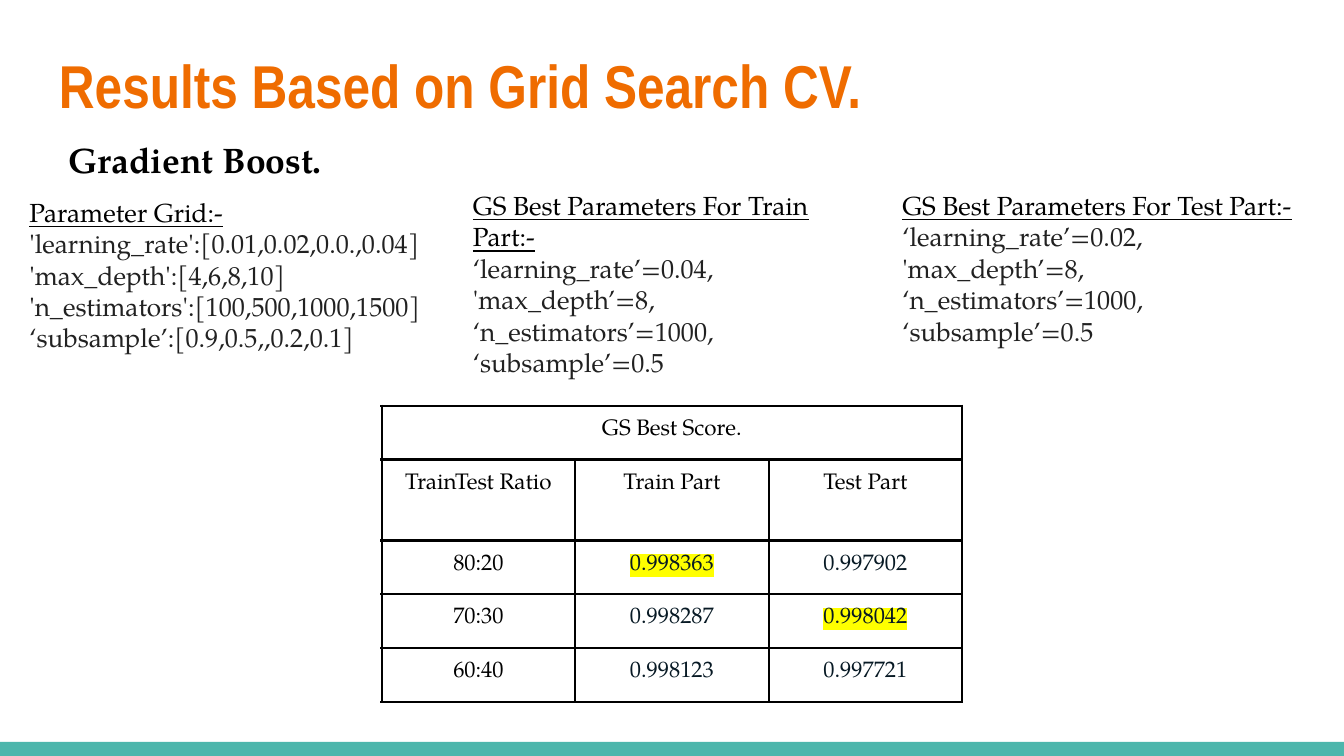
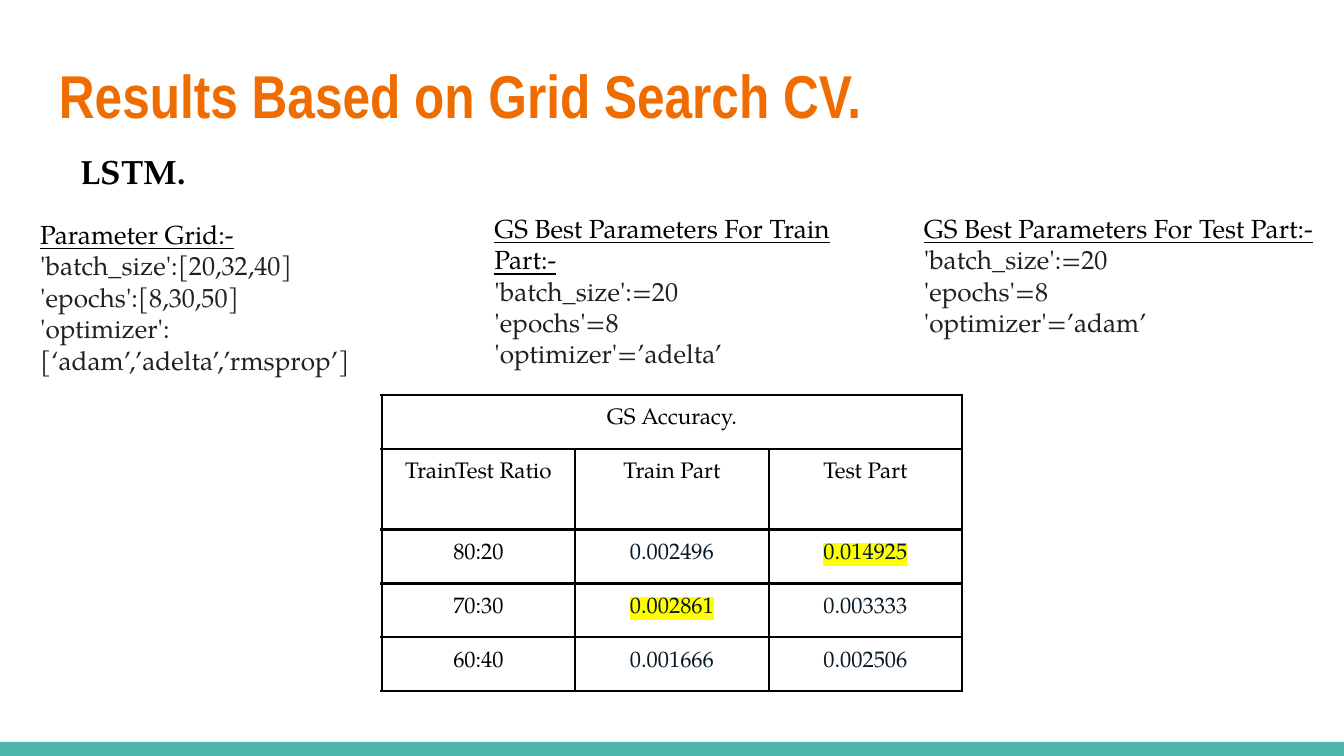
from lxml.etree import SubElement
from pptx import Presentation
from pptx.dml.color import RGBColor
from pptx.enum.shapes import MSO_SHAPE
from pptx.enum.text import MSO_ANCHOR, MSO_AUTO_SIZE, PP_ALIGN
from pptx.oxml.ns import qn
from pptx.util import Emu, Pt

# Scale: 200 px to the inch
EMU_PER_PX = 4572
SLIDE_W, SLIDE_H = 2000, 1125
INSET = 20

# Style
ORANGE = RGBColor(0xEF, 0x6C, 0x00)
TEAL = RGBColor(0x4D, 0xB6, 0xAC)
BLACK = RGBColor(0, 0, 0)
CHARCOAL = RGBColor(0x21, 0x21, 0x21)
NAVY = RGBColor(0x07, 0x19, 0x24)
WHITE = RGBColor(0xFF, 0xFF, 0xFF)
YELLOW = RGBColor(0xFF, 0xFF, 0x00)
TITLE_FONT = "Arial Narrow"
BODY_FONT = "TeX Gyre Pagella"

# Score table
TABLE_LEFT = 568
COLUMN_W = 288
ROW_HEIGHTS = [80, 120, 80, 80, 80]
COLUMN_HEADS = ["TrainTest Ratio", "Train Part", "Test Part"]
RATIOS = ["80:20", "70:30", "60:40"]
BORDER_PT = 1.5


def px(length):
    return Emu(length * EMU_PER_PX)


def write(paragraph, text, size=14, font=BODY_FONT, color=BLACK, bold=False,
          underline=False, highlight=None, align=PP_ALIGN.LEFT):
    paragraph.alignment = align
    run = paragraph.add_run()
    run.text = text
    run.font.size = Pt(size)
    run.font.name = font
    run.font.bold = bold
    run.font.underline = underline
    run.font.color.rgb = color
    if highlight is not None:
        properties = run.font._element
        marker = SubElement(properties, qn("a:highlight"))
        SubElement(marker, qn("a:srgbClr"), val=str(highlight))
        properties.find(qn("a:solidFill")).addnext(marker)


def set_insets(holder):
    holder.margin_left = holder.margin_right = px(INSET)
    holder.margin_top = holder.margin_bottom = px(INSET)


class Deck:
    def __init__(self):
        self.presentation = Presentation()
        self.presentation.slide_width = px(SLIDE_W)
        self.presentation.slide_height = px(SLIDE_H)
        self.slide = None

    def new_slide(self):
        self.slide = self.presentation.slides.add_slide(
            self.presentation.slide_layouts[6])
        self.slide.background.fill.solid()
        self.slide.background.fill.fore_color.rgb = WHITE
        self.band(1104, 21)

    def band(self, top, height):
        band = self.slide.shapes.add_shape(
            MSO_SHAPE.RECTANGLE, 0, px(top), px(SLIDE_W), px(height))
        band.shadow.inherit = False
        band.fill.solid()
        band.fill.fore_color.rgb = TEAL
        band.line.fill.background()

    def text_frame(self, left, top, width, height):
        frame = self.slide.shapes.add_textbox(
            px(left), px(top), px(width), px(height)).text_frame
        frame.word_wrap = True
        set_insets(frame)
        return frame

    def title(self, text, top):
        frame = self.text_frame(68, top, 1864, 154)
        frame.vertical_anchor = MSO_ANCHOR.MIDDLE
        write(frame.paragraphs[0], text, size=32.4, font=TITLE_FONT,
              color=ORANGE, bold=True)

    def model_name(self, text, left, top, size):
        frame = self.text_frame(left, top, 690, 102)
        frame.auto_size = MSO_AUTO_SIZE.SHAPE_TO_FIT_TEXT
        write(frame.paragraphs[0], text, size=size, bold=True)

    def parameters(self, heading, settings, left, top, width, height):
        frame = self.text_frame(left, top, width, height)
        frame.auto_size = MSO_AUTO_SIZE.SHAPE_TO_FIT_TEXT
        write(frame.paragraphs[0], heading, underline=True)
        for setting in settings:
            write(frame.add_paragraph(), setting, color=CHARCOAL,
                  highlight=WHITE)

    def cell(self, cell, text="", **text_format):
        set_insets(cell)
        cell.vertical_anchor = MSO_ANCHOR.TOP
        properties = cell._tc.get_or_add_tcPr()
        for side in ("a:lnL", "a:lnR", "a:lnT", "a:lnB"):
            border = SubElement(properties, qn(side), w=str(Pt(BORDER_PT)))
            fill = SubElement(border, qn("a:solidFill"))
            SubElement(fill, qn("a:srgbClr"), val=str(BLACK))
        cell.fill.background()
        if text:
            write(cell.text_frame.paragraphs[0], text, size=12,
                  align=PP_ALIGN.CENTER, **text_format)

    def score_table(self, caption, scores, top):
        table = self.slide.shapes.add_table(
            len(ROW_HEIGHTS), len(COLUMN_HEADS), px(TABLE_LEFT), px(top),
            px(COLUMN_W * len(COLUMN_HEADS)), px(sum(ROW_HEIGHTS))).table
        table.first_row = table.horz_banding = False
        for column in table.columns:
            column.width = px(COLUMN_W)
        for row, height in zip(table.rows, ROW_HEIGHTS):
            row.height = px(height)

        # Caption and column heads
        table.cell(0, 0).merge(table.cell(0, len(COLUMN_HEADS) - 1))
        for column, head in enumerate(COLUMN_HEADS):
            self.cell(table.cell(0, column), caption if column == 0 else "")
            self.cell(table.cell(1, column), head)

        # Scores, with the best of each column marked
        best = [max(column) for column in zip(*scores)]
        for row, (ratio, pair) in enumerate(zip(RATIOS, scores), start=2):
            self.cell(table.cell(row, 0), ratio)
            for column, score in enumerate(pair):
                mark = YELLOW if score == best[column] else WHITE
                self.cell(table.cell(row, column + 1), f"{score:.6f}",
                          color=NAVY, highlight=mark)


def results_slide(deck, title_top, name, grid, grid_box, train, test,
                  best_left, best_top, best_height, caption, scores, table_top):
    deck.new_slide()
    deck.title("Results Based on Grid Search CV.", title_top)
    deck.model_name(*name)
    deck.parameters("Parameter Grid:-", grid, *grid_box)
    for index, (part, settings) in enumerate((("Train", train), ("Test", test))):
        deck.parameters(f"GS Best Parameters For {part} Part:-", settings,
                        best_left + 639 * index, best_top, 638, best_height)
    deck.score_table(caption, scores, table_top)


def main():
    deck = Deck()

    # Gradient Boost
    shared_best = ["'max_depth’=8,", "‘n_estimators’=1000,", "‘subsample’=0.5"]
    results_slide(
        deck, title_top=48, name=("Gradient Boost.", 82, 186, 19),
        grid=["'learning_rate':[0.01,0.02,0.0.,0.04]",
              "'max_depth':[4,6,8,10]",
              "'n_estimators':[100,500,1000,1500]",
              "‘subsample’:[0.9,0.5,,0.2,0.1]"],
        grid_box=(24, 272, 666, 276),
        train=["‘learning_rate’=0.04,"] + shared_best,
        test=["‘learning_rate’=0.02,"] + shared_best,
        best_left=684, best_top=262, best_height=324,
        caption="GS Best Score.",
        scores=[(0.998363, 0.997902), (0.998287, 0.998042),
                (0.998123, 0.997721)],
        table_top=604)

    # LSTM
    shared_best = ["'batch_size':=20", "'epochs'=8"]
    results_slide(
        deck, title_top=64, name=("LSTM.", 100, 204, 18),
        grid=["'batch_size':[20,32,40]", "'epochs':[8,30,50]",
              "'optimizer':[‘adam’,’adelta’,’rmsprop’]"],
        grid_box=(40, 305, 690, 228),
        train=shared_best + ["'optimizer'=’adelta’"],
        test=shared_best + ["'optimizer'=’adam’"],
        best_left=716, best_top=296, best_height=276,
        caption="GS Accuracy.",
        scores=[(0.002496, 0.014925), (0.002861, 0.003333),
                (0.001666, 0.002506)],
        table_top=588)

    deck.presentation.save("out.pptx")


if __name__ == "__main__":
    main()
